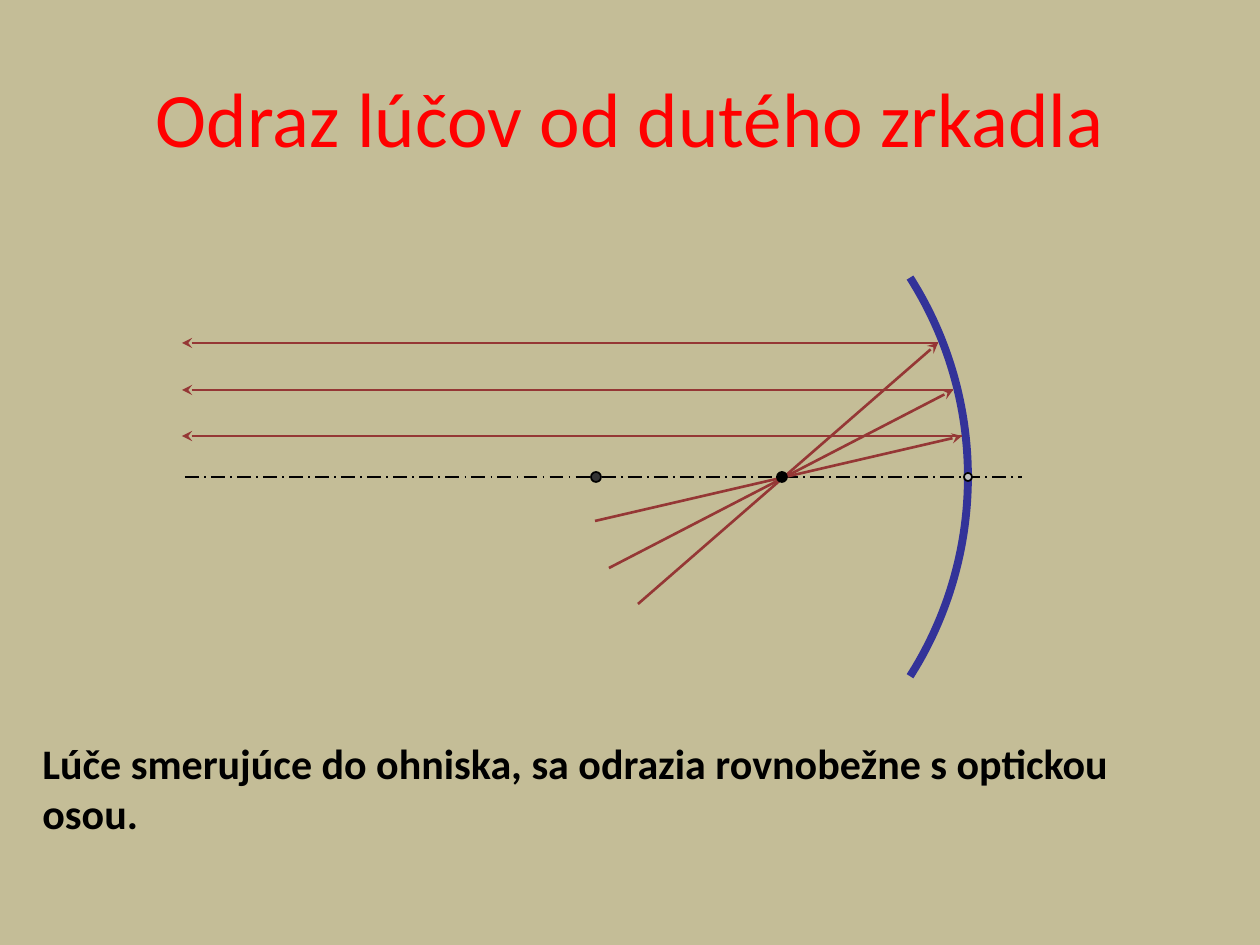
from typing import NamedTuple

from pptx import Presentation
from pptx.dml.color import RGBColor
from pptx.enum.dml import MSO_LINE
from pptx.enum.shapes import MSO_CONNECTOR, MSO_SHAPE
from pptx.enum.text import MSO_ANCHOR, PP_ALIGN
from pptx.oxml.ns import qn
from pptx.util import Emu, Pt
from lxml.etree import SubElement

PX_PER_INCH = 126
COLORS = {
    "background": "C4BD97",
    "title": "FF0000",
    "black": "000000",
    "ray": "953735",
    "mirror": "333399",
    "center": "333333",
    "vertex": "C0C0C0",
}
AXIS_Y = 477
CENTER_X = 596
MIRROR_RADIUS = 372
MIRROR_HALF_ANGLE = 32.4
RAY_END_X = 182


class Point(NamedTuple):
    x: int
    y: int


class Ray(NamedTuple):
    source: Point
    mirror: Point


class Dot(NamedTuple):
    center: Point
    diameter: int
    fill: str


RAYS = [
    Ray(Point(638, 604), Point(938, 343)),
    Ray(Point(609, 568), Point(953, 390)),
    Ray(Point(595, 521), Point(962, 436)),
]
DOTS = [
    Dot(Point(CENTER_X, AXIS_Y), 10, "center"),
    Dot(Point(CENTER_X + MIRROR_RADIUS, AXIS_Y), 8, "vertex"),
    Dot(Point(782, AXIS_Y), 10, "black"),
]


def px(length: int) -> Emu:
    return Emu(round(length * 914400 / PX_PER_INCH))


def rgb(name: str) -> RGBColor:
    return RGBColor.from_string(COLORS[name])


def place(shape, left: int, top: int, width: int, height: int) -> None:
    shape.left, shape.top = px(left), px(top)
    shape.width, shape.height = px(width), px(height)


def write_text(shape, text: str, *, size: int, color: str, bold: bool = False,
               align=PP_ALIGN.LEFT, anchor=MSO_ANCHOR.TOP) -> None:
    frame = shape.text_frame
    frame.word_wrap = True
    frame.vertical_anchor = anchor
    frame.text = text
    paragraph = frame.paragraphs[0]
    paragraph.alignment = align
    font = paragraph.runs[0].font
    font.name, font.size, font.bold = "Calibri", Pt(size), bold
    font.color.rgb = rgb(color)


def add_line(slide, start: Point, end: Point, color: str, width: float,
             dash=None, arrow: bool = False) -> None:
    """Draw a straight line, with an optional arrowhead at its start."""
    connector = slide.shapes.add_connector(
        MSO_CONNECTOR.STRAIGHT, px(start.x), px(start.y), px(end.x), px(end.y))
    line = connector.line
    line.color.rgb = rgb(color)
    line.width = Pt(width)
    if dash is not None:
        line.dash_style = dash
    properties = connector._element.spPr
    if arrow:
        SubElement(properties.find(qn("a:ln")), qn("a:headEnd"), type="stealth")
    SubElement(properties, qn("a:effectLst"))


def add_circle(slide, kind, center: Point, diameter: int, line_color: str, line_width: float):
    """Add an ellipse or arc whose frame is centred on a point."""
    size = px(diameter)
    shape = slide.shapes.add_shape(
        kind, px(center.x) - size // 2, px(center.y) - size // 2, size, size)
    shape.shadow.inherit = False
    shape.line.color.rgb = rgb(line_color)
    shape.line.width = Pt(line_width)
    return shape


def add_mirror(slide) -> None:
    mirror = add_circle(slide, MSO_SHAPE.ARC, Point(CENTER_X, AXIS_Y),
                        2 * MIRROR_RADIUS, "mirror", 4.5)
    mirror.fill.background()
    # Arc angles are in 60000ths of a degree; adjustments are in 100000ths.
    mirror.adjustments[0] = (360 - MIRROR_HALF_ANGLE) * 0.6
    mirror.adjustments[1] = MIRROR_HALF_ANGLE * 0.6


def add_dot(slide, dot: Dot) -> None:
    shape = add_circle(slide, MSO_SHAPE.OVAL, dot.center, dot.diameter, "black", 1)
    shape.fill.solid()
    shape.fill.fore_color.rgb = rgb(dot.fill)


def main() -> None:
    presentation = Presentation()
    presentation.slide_width, presentation.slide_height = px(1260), px(945)
    slide = presentation.slides.add_slide(presentation.slide_layouts[5])
    slide.background.fill.solid()
    slide.background.fill.fore_color.rgb = rgb("background")

    title = slide.shapes.title
    place(title, 63, 38, 1134, 158)
    write_text(title, "Odraz lúčov od dutého zrkadla", size=44, color="title",
               align=PP_ALIGN.CENTER, anchor=MSO_ANCHOR.MIDDLE)

    add_line(slide, Point(185, AXIS_Y), Point(1022, AXIS_Y), "black", 1,
             dash=MSO_LINE.LONG_DASH_DOT)
    add_mirror(slide)
    for ray in RAYS:
        add_line(slide, Point(RAY_END_X, ray.mirror.y), ray.mirror, "ray", 1.5, arrow=True)
        add_line(slide, ray.mirror, ray.source, "ray", 1.5, arrow=True)
    for dot in DOTS:
        add_dot(slide, dot)

    caption = slide.shapes.add_textbox(px(30), px(731), px(1137), px(115))
    write_text(caption, "Lúče smerujúce do ohniska, sa odrazia rovnobežne s optickou osou.",
               size=24, color="black", bold=True)

    presentation.save("out.pptx")


if __name__ == "__main__":
    main()
